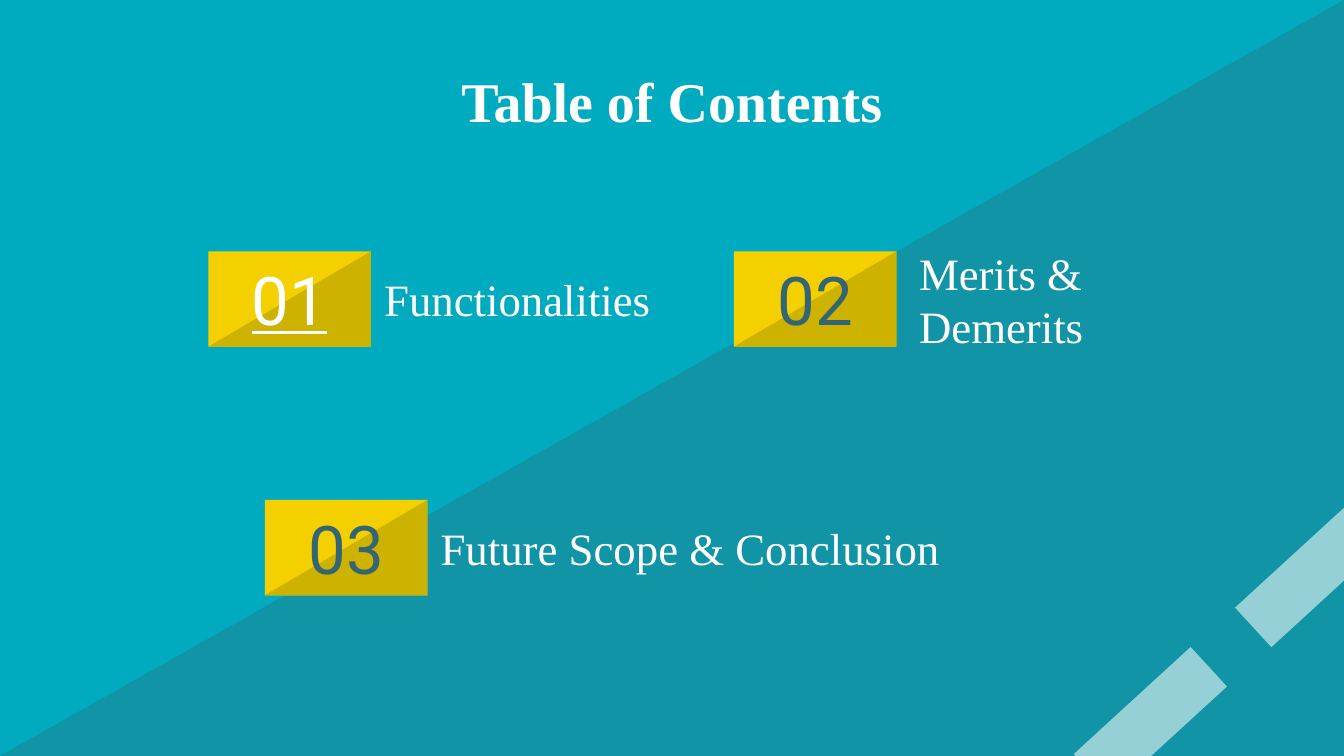
from lxml.etree import SubElement
from pptx import Presentation
from pptx.dml.color import RGBColor
from pptx.enum.shapes import MSO_SHAPE
from pptx.enum.text import MSO_ANCHOR, PP_ALIGN
from pptx.oxml.ns import qn
from pptx.util import Inches, Pt

W = 10
H = W * 9 / 16
TILE_W, TILE_H = 1.21, 0.71
SERIF, SANS = "Times New Roman", "Roboto"
WHITE, SLATE, TEAL = "FFFFFF", "336574", "00ABBF"
YELLOW, DARK_YELLOW = "F4D000", "CEB200"


def rgb(color):
    return RGBColor.from_string(color)


def add_block(shapes, kind, x, y, w, h, color, alpha=None, flip=False):
    sp = shapes.add_shape(kind, Inches(x), Inches(y), Inches(w), Inches(h))
    sp.shadow.inherit = False
    sp.fill.solid()
    sp.fill.fore_color.rgb = rgb(color)
    sp.line.fill.background()
    if alpha is not None:
        clr = sp._element.spPr.find(qn("a:solidFill"))[0]
        SubElement(clr, qn("a:alpha")).set("val", str(alpha * 1000))
    if flip:
        sp._element.spPr.get_or_add_xfrm().set("flipH", "1")
    return sp


def write(sp, text, size, font, color=WHITE, align=PP_ALIGN.CENTER,
          bold=False, underline=False):
    tf = sp.text_frame
    tf.word_wrap = True
    tf.vertical_anchor = MSO_ANCHOR.MIDDLE
    tf.margin_left = tf.margin_right = Inches(0.1)
    tf.margin_top = tf.margin_bottom = Inches(0.1)
    p = tf.paragraphs[0]
    p.text = text
    p.alignment = align
    p.font.size, p.font.name = Pt(size), font
    p.font.bold, p.font.underline = bold, underline
    p.font.color.rgb = rgb(color)


def add_text(s, x, y, w, h, *args, **kwargs):
    sp = s.shapes.add_textbox(Inches(x), Inches(y), Inches(w), Inches(h))
    write(sp, *args, **kwargs)


def add_backdrop(s):
    s.background.fill.solid()
    s.background.fill.fore_color.rgb = rgb(TEAL)
    add_block(s.shapes, MSO_SHAPE.RIGHT_TRIANGLE, 0, 0, W, H, SLATE, 32, flip=True)
    # Dashed diagonal stripe in the corner
    stripe = s.shapes.add_group_shape()
    for x, y in ((7.97, 5.16), (9.17, 4.07)):
        dash = add_block(stripe.shapes, MSO_SHAPE.RECTANGLE, x, y, 1.18, 0.4, WHITE, 56)
        dash.rotation = 317.5


def add_title(s, x, y, w, h, text):
    title = s.shapes.title
    title.left, title.top = Inches(x), Inches(y)
    title.width, title.height = Inches(w), Inches(h)
    write(title, text, 30, SERIF, bold=True)


def add_entry(s, x, y, number, label, label_w, gap=0, color=SLATE, underline=False):
    # Two-tone tile
    tile = s.shapes.add_group_shape()
    add_block(tile.shapes, MSO_SHAPE.RECTANGLE, x, y, TILE_W, TILE_H, YELLOW)
    add_block(tile.shapes, MSO_SHAPE.RIGHT_TRIANGLE, x, y, TILE_W, TILE_H,
              DARK_YELLOW, flip=True)
    # Number and label
    add_text(s, x, y, TILE_W, TILE_H, number, 36, SANS, color, underline=underline)
    add_text(s, x + TILE_W + gap, y, label_w, TILE_H, label, 24, SERIF,
             align=PP_ALIGN.LEFT)


def main():
    prs = Presentation()
    prs.slide_width, prs.slide_height = Inches(W), Inches(H)
    s = prs.slides.add_slide(prs.slide_layouts[5])
    add_backdrop(s)
    add_title(s, 0.78, 0.43, 8.44, 0.63, "Table of Contents")
    add_entry(s, 1.55, 1.87, "01", "Functionalities", 2.39, color=WHITE, underline=True)
    add_entry(s, 5.46, 1.87, "02", "Merits & Demerits", 1.44, gap=0.07)
    add_entry(s, 1.97, 3.72, "03", "Future Scope & Conclusion", 4.52)
    prs.save("out.pptx")


if __name__ == "__main__":
    main()
